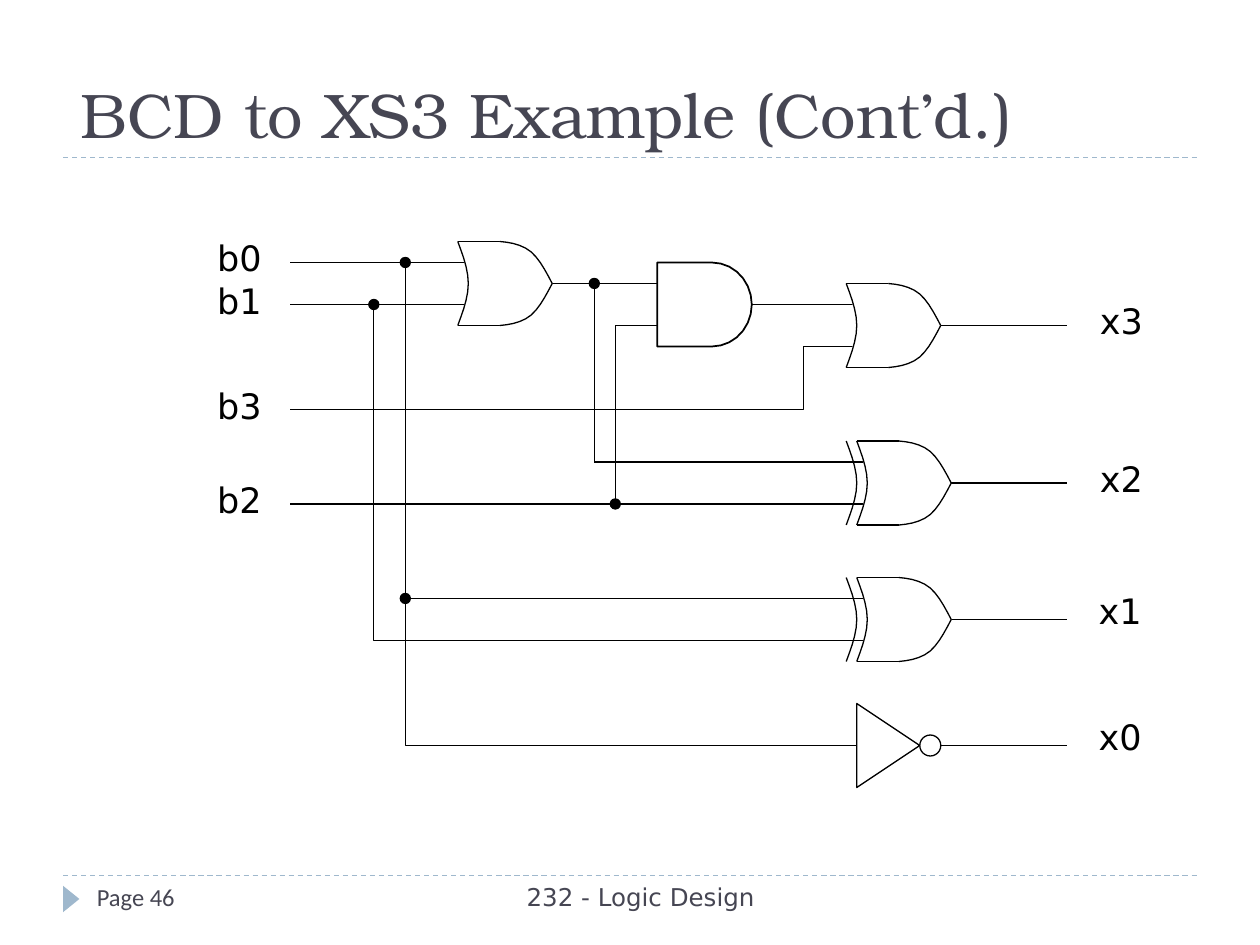
from math import cos, pi, sin

from pptx import Presentation
from pptx.dml.color import RGBColor
from pptx.enum.dml import MSO_LINE
from pptx.enum.shapes import MSO_CONNECTOR, MSO_SHAPE
from pptx.enum.text import MSO_ANCHOR, MSO_AUTO_SIZE, PP_ALIGN
from pptx.oxml.xmlchemy import OxmlElement
from pptx.util import Inches, Pt

BLACK, WHITE, SLATE, STEEL = "000000", "FFFFFF", "464653", "9FB8CD"


def paint(shape, fill=None, line=BLACK, width=0.75):
    """Set fill and line from hex strings (no fill if None) and drop the shadow."""
    shape.line.color.rgb = RGBColor.from_string(line)
    shape.line.width = Pt(width)
    if not hasattr(shape, "fill"):
        shape._element.spPr.append(OxmlElement("a:effectLst"))
        return
    shape.shadow.inherit = False
    if fill:
        shape.fill.solid()
        shape.fill.fore_color.rgb = RGBColor.from_string(fill)
    else:
        shape.fill.background()


def write(shape, text, size=20, font="DejaVu Sans", color=BLACK,
          align=PP_ALIGN.LEFT, anchor=MSO_ANCHOR.TOP, side_margin=0.1):
    frame = shape.text_frame
    frame.word_wrap = True
    frame.auto_size = MSO_AUTO_SIZE.NONE
    frame.margin_left = frame.margin_right = Inches(side_margin)
    frame.vertical_anchor = anchor
    paragraph = frame.paragraphs[0]
    paragraph.alignment = align
    run = paragraph.add_run()
    run.text = text
    run.font.size = Pt(size)
    run.font.name = font
    run.font.color.rgb = RGBColor.from_string(color)


prs = Presentation()
prs.slide_width, prs.slide_height = Inches(10), Inches(7.5)
slide = prs.slides.add_slide(prs.slide_layouts[5])
shapes = slide.shapes

# Title, rules and footer
title = shapes.title
title.left, title.top = Inches(0.54), Inches(0.25)
title.width, title.height = Inches(9.75), Inches(1)
write(title, "BCD to XS3 Example (Cont’d.)", size=36, font="TeX Gyre Bonum",
      color=SLATE, anchor=MSO_ANCHOR.BOTTOM)

for y in (6.95, 1.25):
    rule = shapes.add_connector(MSO_CONNECTOR.STRAIGHT, Inches(0.5), Inches(y),
                                Inches(9.5), Inches(y))
    paint(rule, line=STEEL)
    rule.line.dash_style = MSO_LINE.DASH

page_marker = shapes.add_shape(MSO_SHAPE.ISOSCELES_TRIANGLE, Inches(0.46), Inches(7.07),
                               Inches(0.21), Inches(0.13))
page_marker.rotation = 90
paint(page_marker, fill=STEEL)
page_marker.line.fill.background()

page = shapes.add_textbox(Inches(0.67), Inches(6.95), Inches(2.17), Inches(0.4))
write(page, "Page 46", size=14, font="Calibri", color=SLATE)
course = shapes.add_textbox(Inches(3.17), Inches(6.95), Inches(3.83), Inches(0.4))
write(course, "232 - Logic Design", size=14, color=SLATE, align=PP_ALIGN.CENTER)

# Signal names
signals = [
    ("b0", 1.63, 1.83), ("b1", 1.63, 2.17), ("b2", 1.63, 3.75), ("b3", 1.63, 3),
    ("x3", 8.63, 2.33), ("x2", 8.63, 3.58), ("x1", 8.62, 4.63), ("x0", 8.62, 5.63),
]
for name, x, y in signals:
    label = shapes.add_textbox(Inches(x), Inches(y), Inches(0.54), Inches(0.43))
    write(label, name, align=PP_ALIGN.CENTER, side_margin=0)

# The circuit lies on a grid of twelfths of an inch, shifted right by X0
X0 = 0.05
GRID = 12

# Lines of the circuit: points, fill, line colour, line width; wires first
wires = [
    [(44, 25), (27, 25)], [(44, 29), (27, 29)], [(52, 27), (62, 27)],
    [(71, 29), (81, 29)], [(89, 31), (101, 31)], [(90, 46), (101, 46)],
    [(90, 59), (101, 59)], [(89, 71), (101, 71)],
    [(81, 33), (75.9, 33), (75.9, 39), (27, 39)],
    [(82, 48), (27, 48)], [(62, 31), (58, 31)], [(58, 31), (58, 48)],
    [(56, 27), (56, 44)], [(56, 44), (82, 44)],
    [(82, 57), (38, 57), (38, 25)],
    [(82, 61), (35, 61), (35, 29)],
    [(38, 57), (38, 71), (81, 71)],
]
outlines = [(points, None, BLACK, 0.75) for points in wires]

and_arc = [(67.2 + 3.8 * cos(angle), 29 + 4 * sin(angle))
           for angle in (pi * (step / 14 - 0.5) for step in range(15))]
outlines.append(([(67.2, 25), (62, 25), (62, 33)] + and_arc[::-1], WHITE, BLACK, 1))
outlines.append(([(89 - 2, 71), (81, 67), (81, 75), (87, 71)], WHITE, BLACK, 0.75))

# Upper halves of the OR gate's curves, as Bezier control points from its top left
GATE_HEIGHT = 8
STEPS = 5
back, shoulder, nose = [
    [tuple((1 - t) ** 3 * a + 3 * t * (1 - t) ** 2 * b + 3 * t ** 2 * (1 - t) * c + t ** 3 * d
           for a, b, c, d in zip(*controls))
     for t in (step / STEPS for step in range(STEPS + 1))]
    for controls in (
        [(0, 0), (0.5, 1.33), (1, 2.67), (1, 4)],
        [(4, 0), (5.1, 0.1), (6.15, 0.3), (7, 1)],
        [(7, 1), (7.8, 1.7), (8.4, 2.85), (9, 4)],
    )
]
upper_front = shoulder + nose[1:]
lower_front = [(x, GATE_HEIGHT - y) for x, y in upper_front]
back_arc = back + [(x, GATE_HEIGHT - y) for x, y in back[-2::-1]]
back_filler = [(0, 0), (1, 3), (1, 5), (0, 8), (2, 8), (2, 0), (0, 0)]
or_parts = [
    (back_filler, WHITE, WHITE), (back_arc, None, BLACK),
    ([(0, 0), (4, 0)], None, BLACK), ([(0, 8), (4, 8)], None, BLACK),
    (upper_front, WHITE, BLACK), (lower_front, WHITE, BLACK),
]

for left, top, exclusive in [(80, 27, False), (81, 42, True),
                             (43, 23, False), (81, 55, True)]:
    body = shapes.add_shape(MSO_SHAPE.FLOWCHART_DELAY, Inches(X0 + (left + 2) / GRID),
                            Inches(top / GRID), Inches(7 / GRID), Inches(GATE_HEIGHT / GRID))
    paint(body, fill=WHITE, line=WHITE)
    if exclusive:
        outlines.append(([(left - 1 + x, top + y) for x, y in back_arc], None, BLACK, 0.75))
    for part, fill, line in or_parts:
        outlines.append(([(left + x, top + y) for x, y in part], fill, line, 0.75))

for points, fill, line, width in outlines:
    start, *rest = [(Inches(X0 + x / GRID), Inches(y / GRID)) for x, y in points]
    if len(rest) == 1:
        stroke = shapes.add_connector(MSO_CONNECTOR.STRAIGHT, *start, *rest[0])
    else:
        builder = shapes.build_freeform(*start)
        builder.add_line_segments(rest, close=points[0] == points[-1])
        stroke = builder.convert_to_shape()
    paint(stroke, fill=fill, line=line, width=width)

inverter_bubble = shapes.add_shape(MSO_SHAPE.FLOWCHART_CONNECTOR, Inches(X0 + 87 / GRID),
                                   Inches(70 / GRID), Inches(2 / GRID), Inches(2 / GRID))
paint(inverter_bubble, fill=WHITE)

# Junctions, by centre
DOT = 0.08
for x, y in [(35, 29), (38, 25), (56, 27), (58, 48), (38, 57)]:
    junction = shapes.add_shape(MSO_SHAPE.OVAL, Inches(X0 + x / GRID - DOT / 2),
                                Inches(y / GRID - DOT / 2), Inches(DOT), Inches(DOT))
    paint(junction, fill=BLACK)

prs.save("out.pptx")
